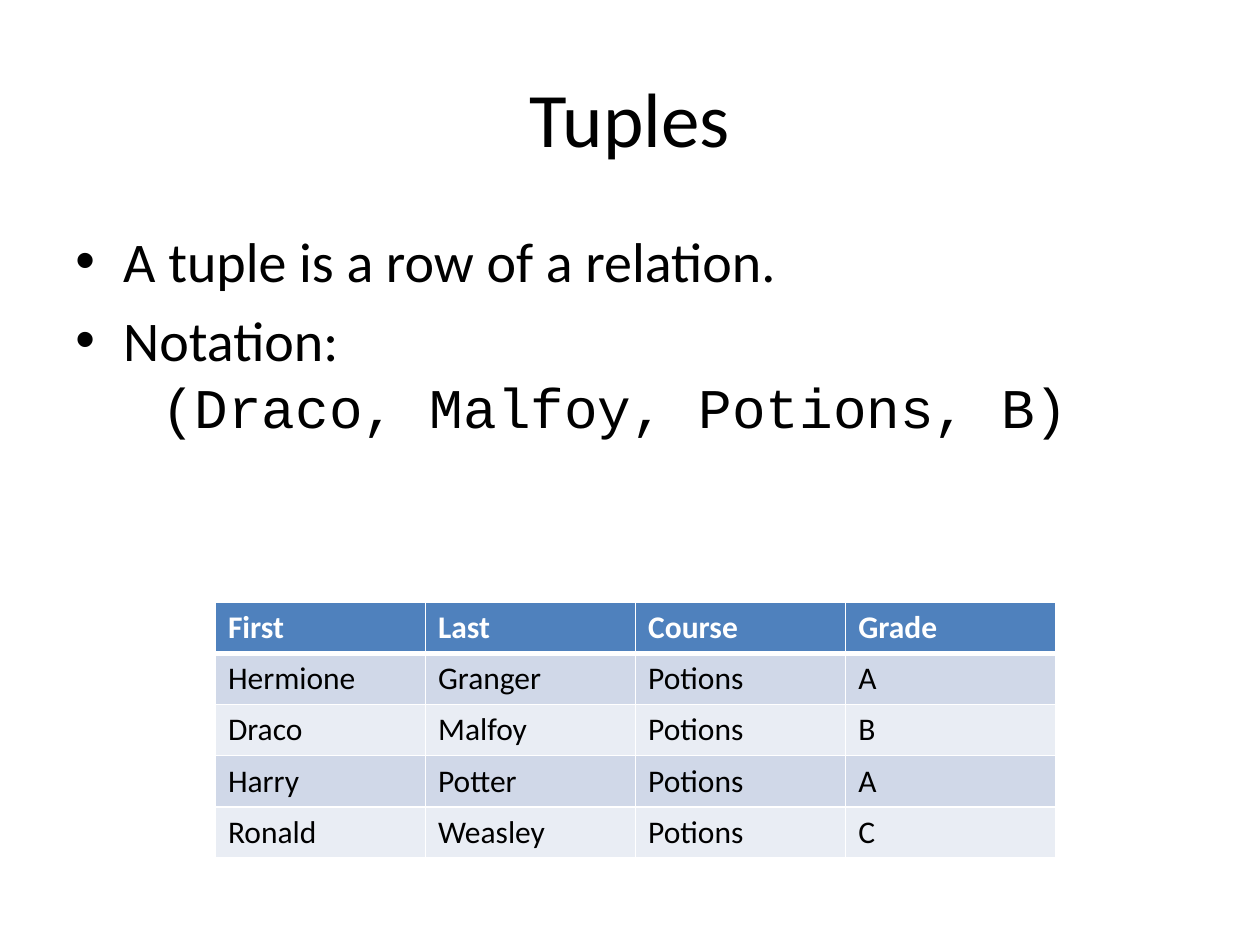
from dataclasses import dataclass

from lxml import etree
from pptx import Presentation
from pptx import util as u
from pptx.dml.color import RGBColor
from pptx.enum import text
from pptx.oxml.ns import qn


@dataclass(frozen=True)
class Theme:
    body_font: str = "Calibri"
    code_font: str = "Courier New"
    title_size: int = 44
    body_size: int = 32
    table_size: int = 18
    ink: str = "000000"
    paper: str = "FFFFFF"
    header: str = "4F81BD"
    bands: tuple = ("D0D8E8", "E9EDF4")


class SlideBuilder:
    def __init__(self, slide, theme):
        self.slide = slide
        self.theme = theme

    def style(self, paragraph, size, color=None, font=None, bold=False):
        for run in paragraph.runs:
            run.font.name = font or self.theme.body_font
            run.font.size = u.Pt(size)
            run.font.bold = bold
            run.font.color.rgb = RGBColor.from_string(color or self.theme.ink)

    def text_frame(self, left, top, width, height):
        box = self.slide.shapes.add_textbox(
            u.Inches(left), u.Inches(top), u.Inches(width), u.Inches(height))
        box.text_frame.word_wrap = True
        return box.text_frame

    def title(self, wording, *place):
        frame = self.text_frame(*place)
        frame.vertical_anchor = text.MSO_ANCHOR.MIDDLE
        frame.text = wording
        paragraph = frame.paragraphs[0]
        paragraph.alignment = text.PP_ALIGN.CENTER
        self.style(paragraph, self.theme.title_size)

    def bullet(self, paragraph, indent):
        properties = paragraph._p.get_or_add_pPr()
        properties.set("marL", str(u.Inches(indent)))
        properties.set("indent", str(-u.Inches(indent)))
        etree.SubElement(properties, qn("a:buFont"), typeface="Arial")
        etree.SubElement(properties, qn("a:buChar"), char="•")

    def bullets_with_code(self, bullets, code, *place):
        """Write bulleted lines, then one indented line of code."""
        frame = self.text_frame(*place)
        frame.text = "\n".join([*bullets, code])
        *bulleted, code_line = frame.paragraphs
        for paragraph in bulleted:
            self.bullet(paragraph, 0.38)
            self.style(paragraph, self.theme.body_size)
        for paragraph in bulleted[1:]:
            paragraph.space_before = u.Pt(0.2 * self.theme.body_size)
        code_line._p.get_or_add_pPr().set("marL", str(u.Inches(0.68)))
        self.style(code_line, self.theme.body_size, font=self.theme.code_font)

    def borders(self, cell, **widths):
        properties = cell._tc.get_or_add_tcPr()
        for side, width in widths.items():
            line = etree.SubElement(properties, qn(f"a:ln{side}"), w=str(u.Pt(width)))
            fill = etree.SubElement(line, qn("a:solidFill"))
            etree.SubElement(fill, qn("a:srgbClr"), val=self.theme.paper)

    def table(self, rows, left, top, width, height):
        table = self.slide.shapes.add_table(
            len(rows), len(rows[0]), u.Inches(left), u.Inches(top),
            u.Inches(width), u.Inches(height)).table
        for row_index, values in enumerate(rows):
            is_header = row_index == 0
            fill = self.theme.header if is_header else self.theme.bands[(row_index - 1) % 2]
            for column_index, value in enumerate(values):
                cell = table.cell(row_index, column_index)
                self.borders(cell, L=1, R=1, T=3 if row_index == 1 else 1,
                             B=3 if is_header else 1)
                cell.fill.solid()
                cell.fill.fore_color.rgb = RGBColor.from_string(fill)
                cell.text_frame.text = value
                self.style(cell.text_frame.paragraphs[0], self.theme.table_size,
                           self.theme.paper if is_header else self.theme.ink,
                           bold=is_header)


def main():
    presentation = Presentation()
    presentation.slide_width = u.Inches(10)
    presentation.slide_height = u.Inches(7.5)
    slide = presentation.slides.add_slide(presentation.slide_layouts[6])
    builder = SlideBuilder(slide, Theme())

    builder.title("Tuples", 0.5, 0.3, 9, 1.25)
    builder.bullets_with_code(
        ["A tuple is a row of a relation.", "Notation:"],
        "(Draco, Malfoy, Potions, B)", 0.5, 1.75, 9, 3.03)
    builder.table([
        ("First", "Last", "Course", "Grade"),
        ("Hermione", "Granger", "Potions", "A"),
        ("Draco", "Malfoy", "Potions", "B"),
        ("Harry", "Potter", "Potions", "A"),
        ("Ronald", "Weasley", "Potions", "C"),
    ], 1.71, 4.78, 6.67, 2.03)

    presentation.save("out.pptx")


if __name__ == "__main__":
    main()
